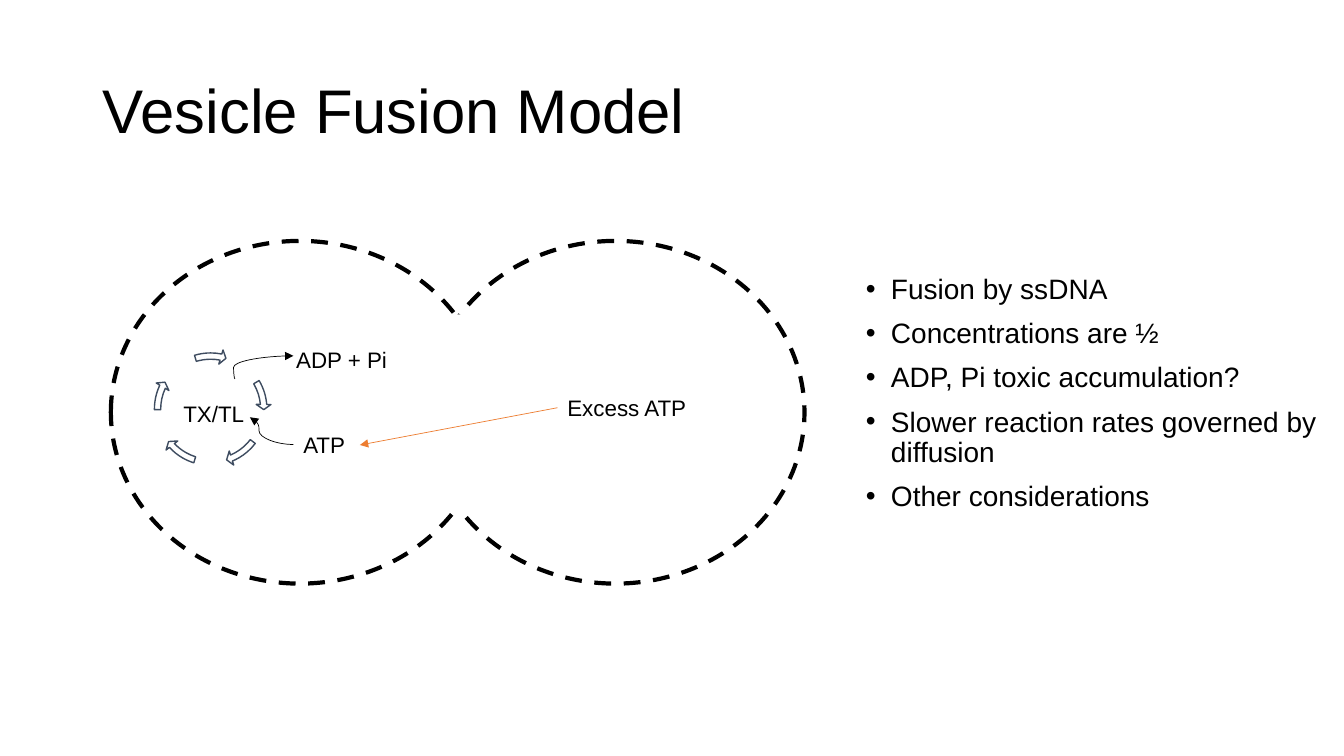
from dataclasses import dataclass

import lxml.etree
import pptx
import pptx.dml.color
import pptx.enum.dml
import pptx.enum.shapes
import pptx.enum.text
import pptx.oxml.ns
import pptx.util

SHAPE = pptx.enum.shapes.MSO_SHAPE
CONNECTOR = pptx.enum.shapes.MSO_CONNECTOR
COLORS = {"ink": "000000", "paper": "FFFFFF", "cycle": "3E4C60", "excess": "ED7D31"}
FONT = "Arial"
SLIDE_WIDTH = pptx.util.Inches(13.333)
SLIDE_HEIGHT = pptx.util.Inches(7.5)


@dataclass(frozen=True)
class Box:
    """Left and width in percent of slide width, top and height of slide height."""
    left: float
    top: float
    width: float
    height: float

    def emu(self) -> tuple[int, int, int, int]:
        return (*point(self.left, self.top), *point(self.width, self.height))


@dataclass(frozen=True)
class Label:
    text: str
    box: Box


@dataclass(frozen=True)
class Curve:
    start: tuple[float, float]
    end: tuple[float, float]
    bend: int  # thousandths of a percent of the run from start to end


LABEL_HEIGHT = 4.93
TITLE = Label("Vesicle Fusion Model", Box(6.9, 5.33, 86.25, 19.33))
VESICLES = [Box(left, 31.87, 28.13, 45.33) for left in (8.25, 31.73)]
FUSION_OPENING = Box(31.13, 41.6, 5.85, 25.73)
CYCLE = Box(11.18, 46.13, 9, 16)
# End and start angle of each cycle arrow, in units of 5/3 degree
CYCLE_ARCS = [(212.943, 197.653), (40.158, 22.524), (82.119, 64.486),
              (122.99, 107.701), (168.668, 151.976)]
REACTION = Label("TX/TL", Box(12.9, 52.27, 8.33, LABEL_HEIGHT))
PRODUCT = Label("ADP + Pi", Box(21.3, 45.07, 9.83, LABEL_HEIGHT))
FUEL = Label("ATP", Box(21.83, 56.4, 4.95, LABEL_HEIGHT))
EXCESS = Label("Excess ATP", Box(41.48, 51.47, 10.8, LABEL_HEIGHT))
CURVES = [Curve((17.48, 50.13), (21.83, 47.07), -2400),
          Curve((21.83, 58.8), (18.6, 55.2), 78900)]
NOTES_BOX = Box(63.68, 35.73, 36.3, 63.47)
NOTES = ["Fusion by ssDNA", "Concentrations are ½", "ADP, Pi toxic accumulation?",
         "Slower reaction rates governed by diffusion", "Other considerations"]


def point(x: float, y: float) -> tuple[int, int]:
    return round(SLIDE_WIDTH * x / 100), round(SLIDE_HEIGHT * y / 100)


def color(name: str) -> pptx.dml.color.RGBColor:
    return pptx.dml.color.RGBColor.from_string(COLORS[name])


def add_element(parent, tag: str, **attributes: str):
    return lxml.etree.SubElement(parent, pptx.oxml.ns.qn(tag), attributes)


def format_paragraph(paragraph, size: float) -> None:
    paragraph.font.name = FONT
    paragraph.font.size = pptx.util.Pt(size)
    paragraph.font.color.rgb = color("ink")


def add_title(slide) -> None:
    title = slide.shapes.title
    title.left, title.top, title.width, title.height = TITLE.box.emu()
    title.text_frame.text = TITLE.text
    title.text_frame.vertical_anchor = pptx.enum.text.MSO_ANCHOR.MIDDLE
    paragraph = title.text_frame.paragraphs[0]
    paragraph.alignment = pptx.enum.text.PP_ALIGN.LEFT
    paragraph.line_spacing = 0.9
    format_paragraph(paragraph, 44)


def add_notes(slide) -> None:
    frame = slide.shapes.add_textbox(*NOTES_BOX.emu()).text_frame
    frame.word_wrap = True
    for index, note in enumerate(NOTES):
        paragraph = frame.add_paragraph() if index else frame.paragraphs[0]
        paragraph.text = note
        paragraph.line_spacing = 0.9
        if index:
            paragraph.space_before = pptx.util.Pt(10)
        indent = pptx.util.Inches(0.25)
        properties = paragraph._p.get_or_add_pPr()
        properties.set("marL", str(indent))
        properties.set("indent", str(-indent))
        add_element(properties, "a:buFont", typeface=FONT)
        add_element(properties, "a:buChar", char="•")
        format_paragraph(paragraph, 20)


def add_label(slide, label: Label):
    text_box = slide.shapes.add_textbox(*label.box.emu())
    frame = text_box.text_frame
    frame.text = label.text
    frame.word_wrap = True
    frame.auto_size = pptx.enum.text.MSO_AUTO_SIZE.SHAPE_TO_FIT_TEXT
    format_paragraph(frame.paragraphs[0], 16)
    return text_box


def add_shape(shapes, kind, box: Box, fill: str = "", line: str = "", width: float = 1):
    shape = shapes.add_shape(kind, *box.emu())
    shape.shadow.inherit = False
    if fill:
        shape.fill.solid()
        shape.fill.fore_color.rgb = color(fill)
    else:
        shape.fill.background()
    if line:
        shape.line.color.rgb = color(line)
        shape.line.width = pptx.util.Pt(width)
    else:
        shape.line.fill.background()
    return shape


def add_arrow(slide, kind, start: tuple[float, float], end: tuple[float, float], line: str):
    arrow = slide.shapes.add_connector(kind, *point(*start), *point(*end))
    arrow.line.color.rgb = color(line)
    arrow.line.width = pptx.util.Pt(0.5)
    add_element(arrow.line._get_or_add_ln(), "a:tailEnd", type="triangle")
    add_element(arrow._element.spPr, "a:effectLst")
    return arrow


def add_curve(slide, curve: Curve) -> None:
    arrow = add_arrow(slide, CONNECTOR.CURVE, curve.start, curve.end, "ink")
    adjustments = arrow._element.spPr.find(".//" + pptx.oxml.ns.qn("a:avLst"))
    add_element(adjustments, "a:gd", name="adj1", fmla=f"val {curve.bend}")


def add_cycle(slide) -> None:
    group = slide.shapes.add_group_shape()
    for end_angle, start_angle in CYCLE_ARCS:
        arrow = add_shape(group.shapes, SHAPE.CIRCULAR_ARROW, CYCLE, "paper", "cycle")
        for index, value in enumerate((0.052, 3.357, end_angle, start_angle, 0.061)):
            arrow.adjustments[index] = value


def main() -> None:
    presentation = pptx.Presentation()
    presentation.slide_width = SLIDE_WIDTH
    presentation.slide_height = SLIDE_HEIGHT
    slide = presentation.slides.add_slide(presentation.slide_layouts[5])

    # Title and bullets
    add_title(slide)
    add_notes(slide)

    # Vesicles with the opening between them
    for vesicle in VESICLES:
        outline = add_shape(slide.shapes, SHAPE.OVAL, vesicle, line="ink", width=3)
        outline.line.dash_style = pptx.enum.dml.MSO_LINE.DASH
    add_shape(slide.shapes, SHAPE.RECTANGLE, FUSION_OPENING, "paper")

    # Reaction cycle and its molecules
    add_label(slide, REACTION)
    add_cycle(slide)
    add_label(slide, PRODUCT)
    fuel = add_label(slide, FUEL)
    excess = add_label(slide, EXCESS)

    # Arrows
    for curve in CURVES:
        add_curve(slide, curve)
    supply = add_arrow(slide, CONNECTOR.STRAIGHT, (41.48, 53.93), (26.78, 58.87), "excess")
    supply.begin_connect(excess, 1)
    supply.end_connect(fuel, 3)

    presentation.save("out.pptx")


if __name__ == "__main__":
    main()
